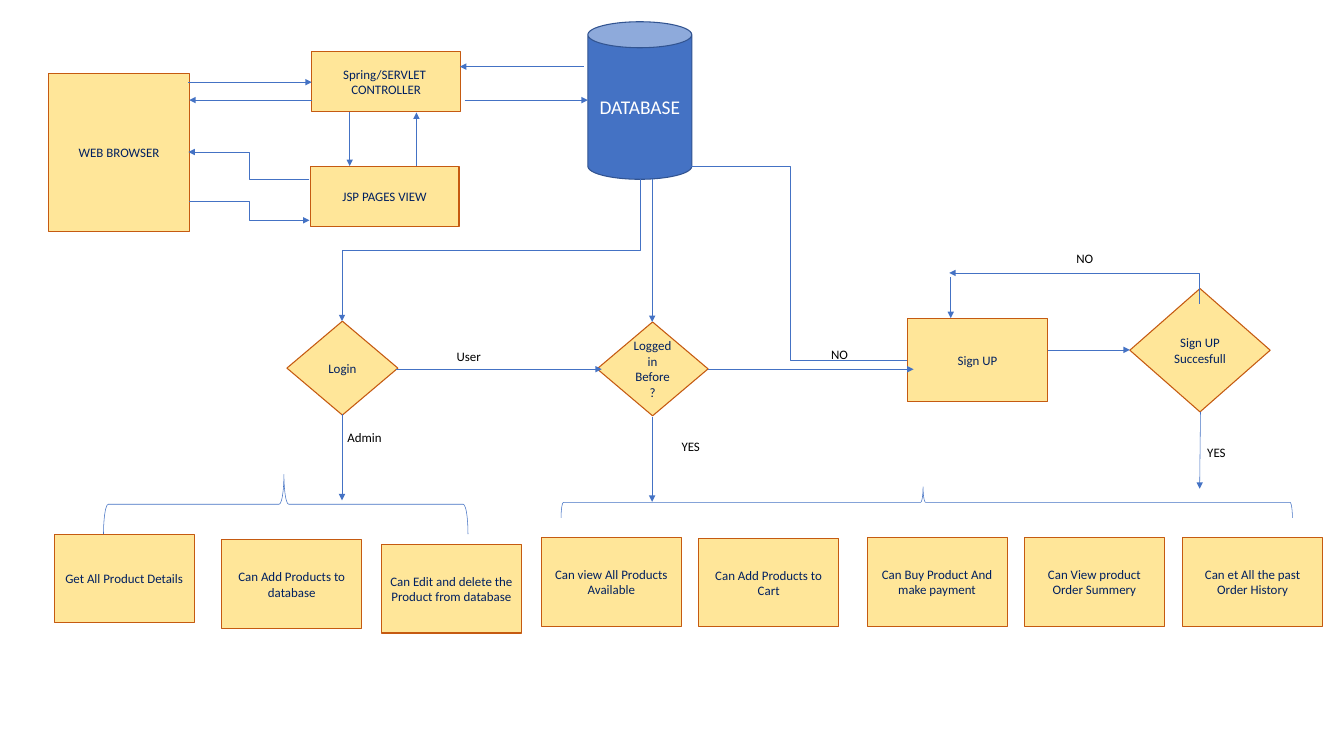
from lxml.etree import SubElement
from pptx import Presentation
from pptx.dml.color import RGBColor
from pptx.enum.shapes import MSO_CONNECTOR, MSO_SHAPE
from pptx.enum.text import MSO_ANCHOR, MSO_AUTO_SIZE, PP_ALIGN
from pptx.oxml.ns import qn
from pptx.util import Pt

CREAM = RGBColor(0xFF, 0xE6, 0x99)
RUST = RGBColor(0xC5, 0x5A, 0x11)
NAVY = RGBColor(0x00, 0x20, 0x60)
BLUE = RGBColor(0x44, 0x72, 0xC4)
DARK_BLUE = RGBColor(0x32, 0x54, 0x91)
WHITE = RGBColor(0xFF, 0xFF, 0xFF)
BLACK = RGBColor(0x00, 0x00, 0x00)

PROCESS = MSO_SHAPE.FLOWCHART_PROCESS
DECISION = MSO_SHAPE.FLOWCHART_DECISION
CARD_W, CARD_H = 130, 82.1

# Nodes: shape, left, top, width, height, text
NODES = [
    (PROCESS, 45.4, 68.4, 130.3, 146.2, "WEB BROWSER"),
    (MSO_SHAPE.RECTANGLE, 289.4, 48.2, 138.2, 55.4, "Spring/SERVLET \nCONTROLLER"),
    (MSO_SHAPE.RECTANGLE, 288, 154.8, 138.2, 55.4, "JSP PAGES VIEW"),
    (DECISION, 266.4, 298.1, 103, 87.1, "Login"),
    (DECISION, 554.4, 298.8, 103, 87.1, "Logged in Before?"),
    (PROCESS, 842.4, 295.2, 130.3, 77.8, "Sign UP"),
    (DECISION, 1049, 267.8, 130.3, 114.5, "Sign UP Succesfull"),
]

# Actions along the bottom: left, top, text
ACTIONS = [
    (50.4, 496.1, "Get All Product Details"),
    (205.9, 501.1, "Can Add Products to database"),
    (354.2, 505.4, "Can Edit and delete the Product from database"),
    (502.6, 499, "Can view All Products Available"),
    (648.7, 499.7, "Can Add Products to Cart"),
    (805, 499, "Can Buy Product And make payment"),
    (951.1, 499, "Can View product Order Summery"),
    (1098, 499, "Can et All the past Order History"),
]

# Labels: left, top, width, wrap, text
LABELS = [
    (416.9, 319.7, 70.6, True, "User"),
    (315.4, 395.3, 70.6, True, "Admin"),
    (625.7, 403.2, 31.7, False, "YES"),
    (764.6, 318.2, 30.2, True, "NO"),
    (992.2, 229, 30.2, False, "NO"),
    (1113.8, 409, 31.7, False, "YES"),
]

# Straight arrows: from x, y, to x, y
ARROWS = [
    (175, 76.3, 289.4, 76.3),
    (289.4, 92.9, 175.7, 92.9),
    (542.2, 61.9, 427, 61.9),
    (431.3, 92.9, 545.8, 92.9),
    (324.7, 104.4, 324.7, 154.1),
    (386.6, 154.1, 386.6, 104.4),
    (605.5, 166.3, 605.5, 298.8),
    (367.9, 342.7, 558.7, 342.7),
    (657.4, 342.7, 848.2, 342.7),
    (972.7, 324.7, 1049, 324.7),
    (882.7, 257, 882.7, 295.2),
    (317.5, 384.5, 317.5, 464.4),
    (605.5, 386.6, 605.5, 465.8),
    (1114.6, 382.3, 1113.8, 453.6),
]

# Elbow arrows that leave sideways
ELBOWS = [
    (175.7, 187.2, 287.3, 204.5),
    (287.3, 166.3, 175, 141.1),
    (842.4, 334.1, 625.7, 154.8),
]


def write(sp, text, size=12, color=NAVY, align=PP_ALIGN.CENTER,
          anchor=MSO_ANCHOR.MIDDLE, wrap=True):
    tf = sp.text_frame
    tf.word_wrap = wrap
    tf.vertical_anchor = anchor
    tf.text = text
    for p in tf.paragraphs:
        p.alignment = align
        for r in p.runs:
            r.font.name = "Calibri"
            r.font.size = Pt(size)
            r.font.color.rgb = color


def add_node(slide, kind, x, y, w, h, text, fill=CREAM, line=RUST, **fmt):
    sp = slide.shapes.add_shape(kind, Pt(x), Pt(y), Pt(w), Pt(h))
    sp.shadow.inherit = False
    sp.fill.solid()
    sp.fill.fore_color.rgb = fill
    sp.line.color.rgb = line
    sp.line.width = Pt(1)
    write(sp, text, **fmt)


def add_label(slide, x, y, w, wrap, text):
    sp = slide.shapes.add_textbox(Pt(x), Pt(y), Pt(w), Pt(21.6))
    write(sp, text, color=BLACK, align=PP_ALIGN.LEFT,
          anchor=MSO_ANCHOR.TOP, wrap=wrap)
    sp.text_frame.auto_size = MSO_AUTO_SIZE.SHAPE_TO_FIT_TEXT


def add_brace(slide, x, y, w, h):
    sp = slide.shapes.add_shape(MSO_SHAPE.LEFT_BRACE, Pt(x), Pt(y), Pt(w), Pt(h))
    sp.rotation = 90
    sp.adjustments[0], sp.adjustments[1] = 0.08, 0.5
    sp.adjustments[1] = 0.505
    sp.shadow.inherit = False
    sp.fill.background()
    sp.line.color.rgb = BLUE
    sp.line.width = Pt(0.5)


def add_arrow(slide, x1, y1, x2, y2, kind=MSO_CONNECTOR.STRAIGHT):
    c = slide.shapes.add_connector(kind, Pt(x1), Pt(y1), Pt(x2), Pt(y2))
    c.line.color.rgb = BLUE
    c.line.width = Pt(0.5)
    sppr = c._element.spPr
    SubElement(sppr.find(qn("a:ln")), qn("a:tailEnd"), type="triangle")
    SubElement(sppr, qn("a:effectLst"))
    return sppr


def add_upright_elbow(slide, x1, y1, x2, y2, turn, preset="bentConnector3"):
    """Elbow arrow that leaves vertically: turn is 90 (down) or 270 (up)."""
    cx, cy = (x1 + x2) / 2, (y1 + y2) / 2
    side = 1 if turn == 90 else -1
    dx, dy = side * (y1 - cy), side * (cx - x1)
    sppr = add_arrow(slide, cx + dx, cy + dy, cx - dx, cy - dy, MSO_CONNECTOR.ELBOW)
    sppr.find(qn("a:xfrm")).set("rot", str(turn * 60000))
    sppr.find(qn("a:prstGeom")).set("prst", preset)


def main():
    prs = Presentation()
    prs.slide_width, prs.slide_height = Pt(1247.8), Pt(684)
    slide = prs.slides.add_slide(prs.slide_layouts[6])

    # Boxes and decisions
    for node in NODES:
        add_node(slide, *node)
    for x, y, text in ACTIONS:
        add_node(slide, PROCESS, x, y, CARD_W, CARD_H, text)
    add_node(slide, MSO_SHAPE.CAN, 545.8, 20.2, 96.5, 146.2, "DATABASE",
             fill=BLUE, line=DARK_BLUE, size=18, color=WHITE)

    # Braces over the admin and user actions
    add_brace(slide, 237.6, 298.8, 55.4, 338.4)
    add_brace(slide, 846, 126.7, 28.8, 679)

    # Arrows
    for arrow in ARROWS:
        add_arrow(slide, *arrow)
    for elbow in ELBOWS:
        add_arrow(slide, *elbow, kind=MSO_CONNECTOR.ELBOW)
    add_upright_elbow(slide, 594, 166.3, 317.5, 298.1, 90)
    add_upright_elbow(slide, 1113.8, 282.2, 881.3, 253.4, 270, "bentConnector2")

    # Branch labels
    for label in LABELS:
        add_label(slide, *label)

    prs.save("out.pptx")


if __name__ == "__main__":
    main()
